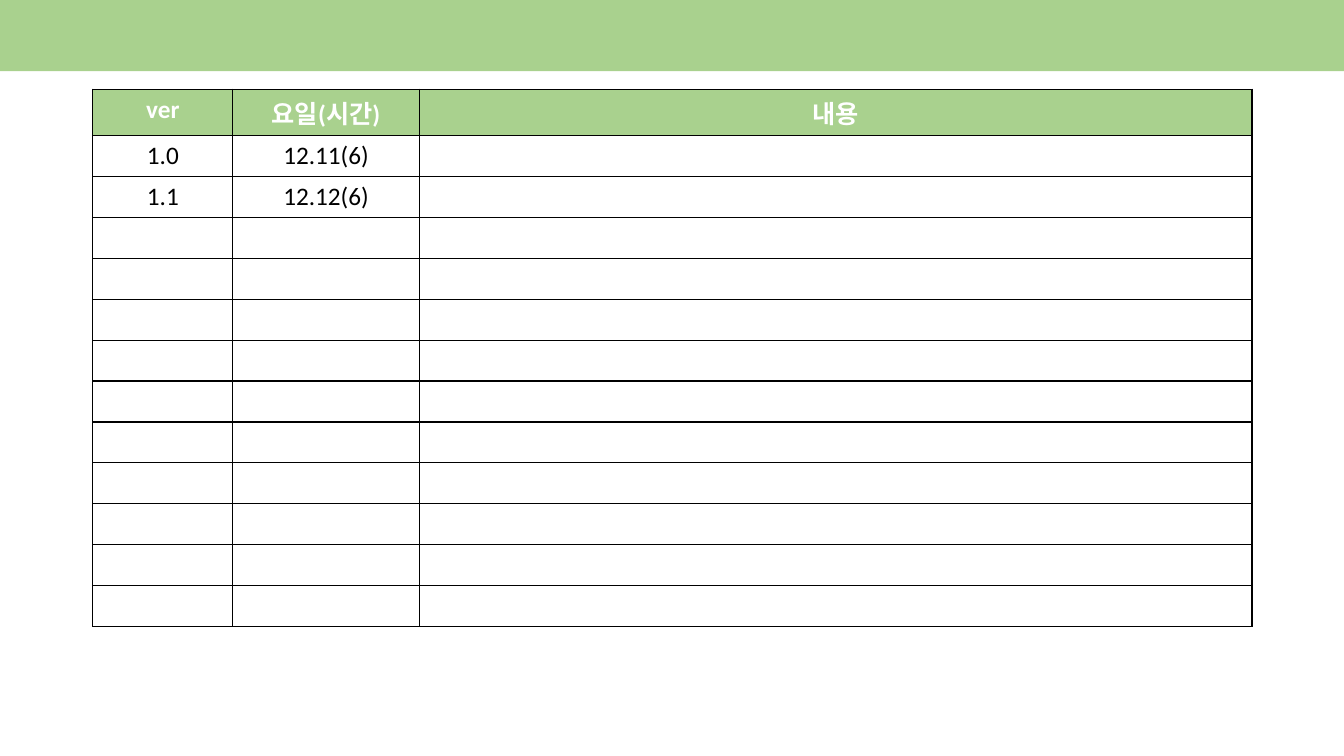
from dataclasses import dataclass

from lxml import etree
from pptx import Presentation
from pptx import util as u
from pptx.dml.color import RGBColor
from pptx.enum import shapes, text
from pptx.oxml import ns

GREEN, WHITE, BLACK = "A9D18E", "FFFFFF", "000000"
WIDTH, HEIGHT = u.Inches(13.33), u.Inches(7.5)
BAND_PERCENT = 9.42
TABLE_LEFT, TABLE_TOP = 6.9, 11.8
ROW_COUNT = 13
ROW_PERCENT = 5.41
COLUMN_PERCENTS = (10.43, 13.86, 61.97)
LOG = (
    ("ver", "요일(시간)", "내용"),
    ("1.0", "12.11(6)", ""),
    ("1.1", "12.12(6)", ""),
)


@dataclass(frozen=True)
class CellStyle:
    fill: str
    color: str
    bold: bool
    anchor: text.MSO_ANCHOR


HEADER = CellStyle(GREEN, WHITE, True, text.MSO_ANCHOR.TOP)
BODY = CellStyle(WHITE, BLACK, False, text.MSO_ANCHOR.MIDDLE)


def rgb(value: str) -> RGBColor:
    return RGBColor.from_string(value)


def across(percent: float) -> int:
    return round(WIDTH * percent / 100)


def down(percent: float) -> int:
    return round(HEIGHT * percent / 100)


def paint(target, color: str) -> None:
    target.fill.solid()
    target.fill.fore_color.rgb = rgb(color)


def add_borders(cell, color: str, points: float) -> None:
    tc_pr = cell._tc.get_or_add_tcPr()
    for side in ("lnL", "lnR", "lnT", "lnB"):
        ln = etree.SubElement(tc_pr, ns.qn(f"a:{side}"), w=str(u.Pt(points)))
        fill = etree.SubElement(ln, ns.qn("a:solidFill"))
        etree.SubElement(fill, ns.qn("a:srgbClr"), val=color)


def fill_cell(cell, content: str, style: CellStyle) -> None:
    add_borders(cell, BLACK, 1)
    paint(cell, style.fill)
    if not content:
        return
    cell.vertical_anchor = style.anchor
    p = cell.text_frame.paragraphs[0]
    p.alignment = text.PP_ALIGN.CENTER
    r = p.add_run()
    r.text = content
    formats = {"name": "Calibri", "size": u.Pt(18), "bold": style.bold}
    for name, value in formats.items():
        setattr(r.font, name, value)
    r.font.color.rgb = rgb(style.color)


def add_band(s) -> None:
    sp = s.shapes.add_shape(
        shapes.MSO_SHAPE.RECTANGLE, 0, 0, WIDTH, down(BAND_PERCENT))
    sp.shadow.inherit = False
    paint(sp, GREEN)
    sp.line.fill.background()


def add_version_table(s) -> None:
    table = s.shapes.add_table(
        ROW_COUNT, len(COLUMN_PERCENTS), across(TABLE_LEFT), down(TABLE_TOP),
        across(sum(COLUMN_PERCENTS)), down(ROW_PERCENT * ROW_COUNT)).table
    table.horz_banding = False
    for column, percent in zip(table.columns, COLUMN_PERCENTS):
        column.width = across(percent)
    for i, row in enumerate(table.rows):
        row.height = down(ROW_PERCENT)
        contents = LOG[i] if i < len(LOG) else ("",) * len(COLUMN_PERCENTS)
        for cell, content in zip(row.cells, contents):
            fill_cell(cell, content, BODY if i else HEADER)


def main() -> None:
    prs = Presentation()
    prs.slide_width, prs.slide_height = WIDTH, HEIGHT
    s = prs.slides.add_slide(prs.slide_layouts[6])
    add_band(s)
    add_version_table(s)
    prs.save("out.pptx")


if __name__ == "__main__":
    main()
